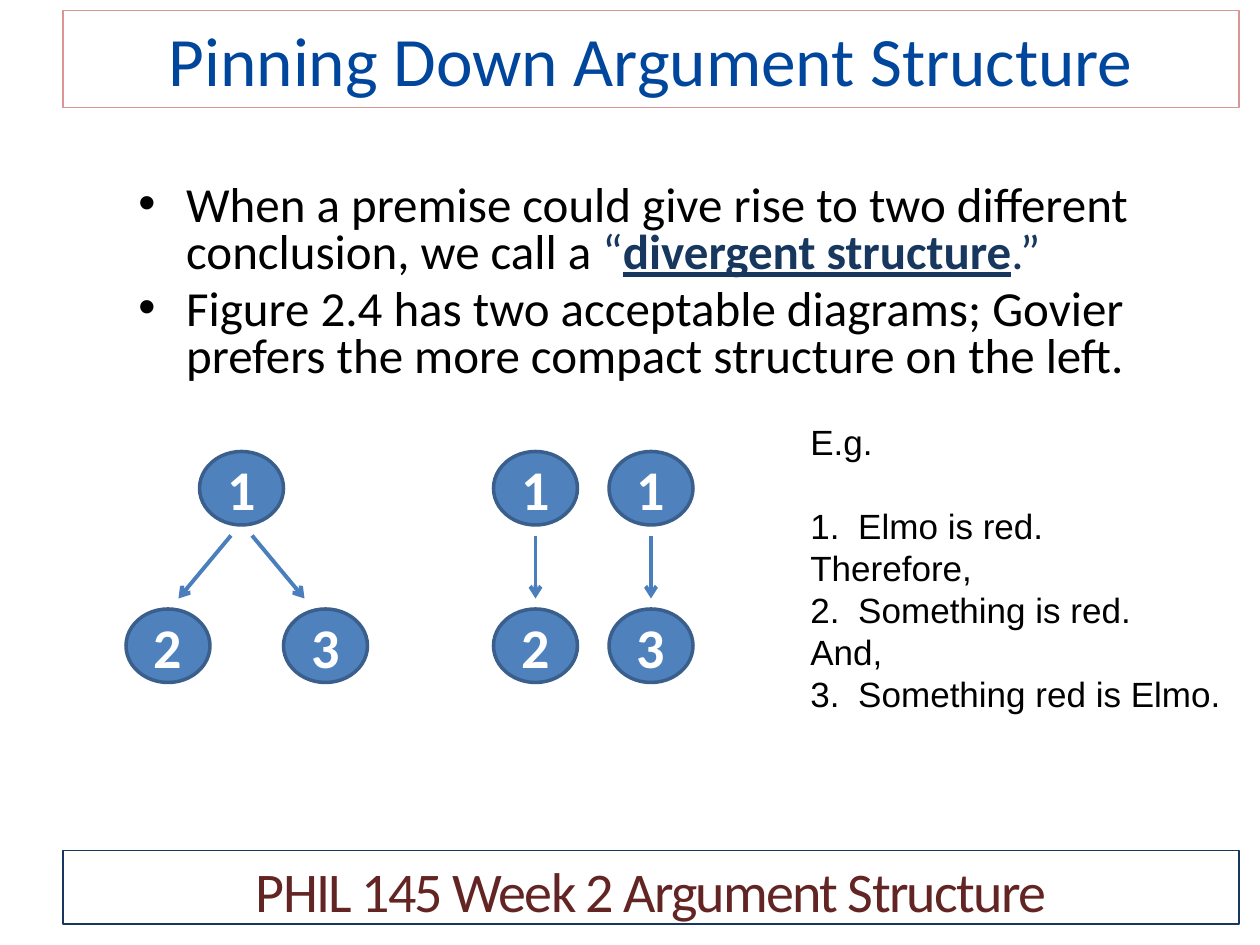
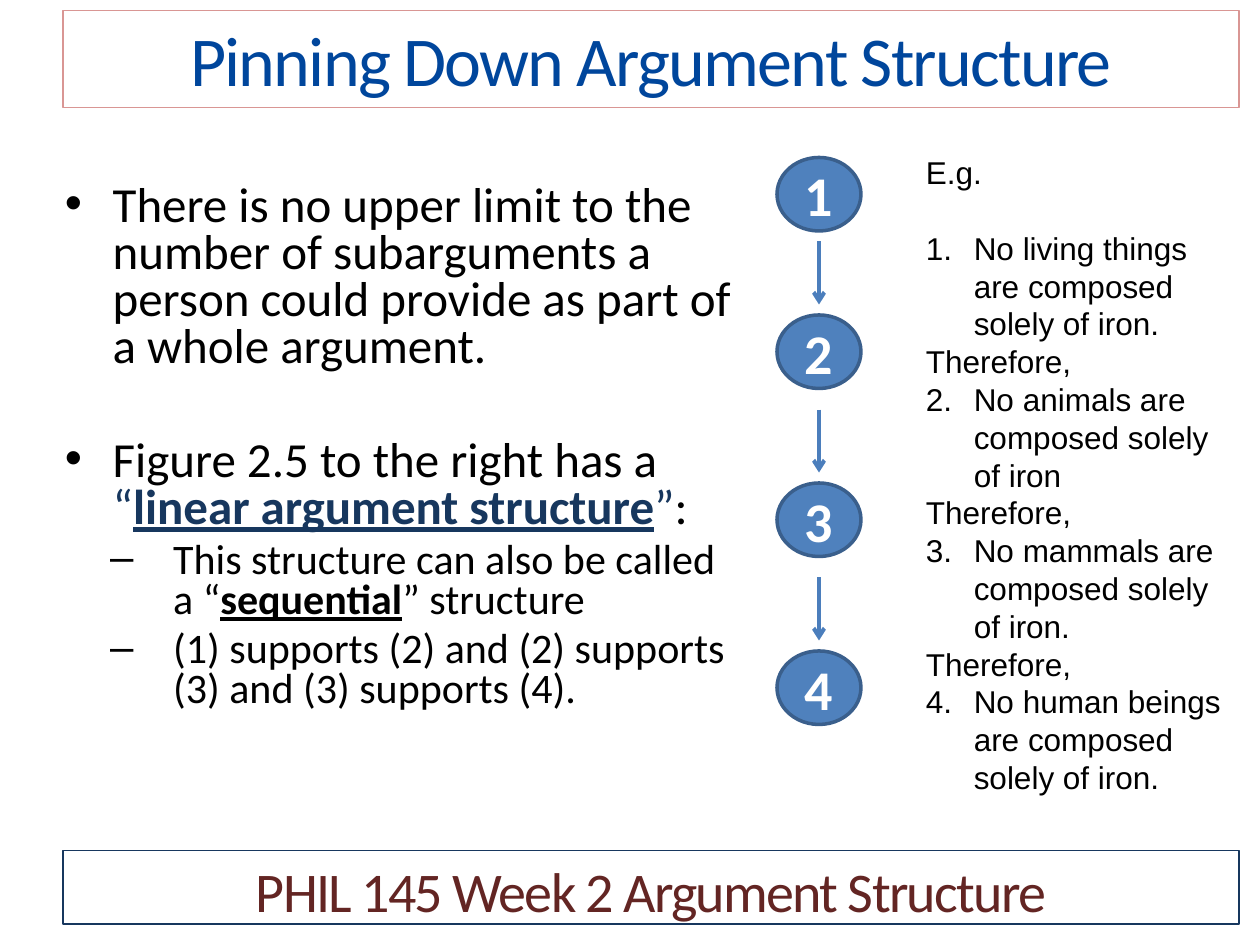
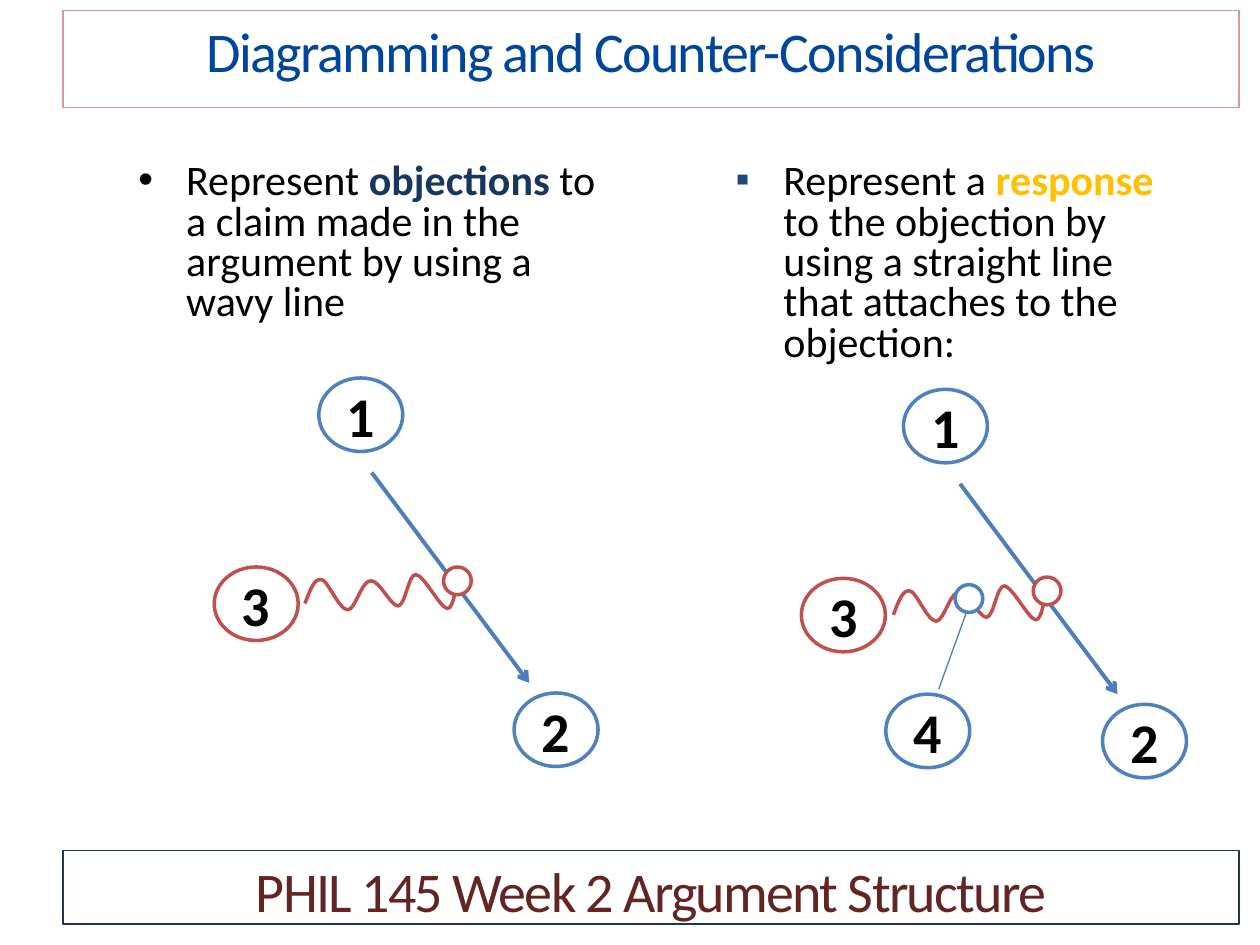
from pptx import Presentation
from pptx import util as u
from pptx.dml.color import RGBColor
from pptx.enum import shapes, text
from pptx.oxml.ns import qn
from lxml import etree

Inches, Pt = u.Inches, u.Pt
COLOURS = {
    "title": "00469C", "title_edge": "D99694",
    "footer": "632523", "navy": "17375E",
    "black": "000000", "white": "FFFFFF", "gold": "FFC000",
    "blue": "4F81BD", "blue_edge": "3A5F8C", "arrow": "4B7EBC",
    "red": "C0504D", "bullet": "1F497D",
}
RGB = {name: RGBColor.from_string(value) for name, value in COLOURS.items()}

BULLET = dict(size=28, left=0.38, hang=0.38, mark="•", lines=0.8, before=5.6)
SPACED = dict(BULLET, before=38.2)
SHORT = dict(BULLET, size=24, before=4.8)
SQUARE = dict(SHORT, left=0.45, mark="▪", tint="bullet")
DASH = dict(SHORT, left=0.86, hang=0.5, mark="–")
PLAIN = dict(face="Arial")
ITEM = dict(PLAIN, left=0.38, hang=0.38)
GRID = 1 / 12
NODE_W, NODE_H, KNOT = 8 * GRID, 7 * GRID, 0.22


def add_text(slide, box, paragraphs):
    frame = slide.shapes.add_textbox(*map(Inches, box)).text_frame
    frame.word_wrap = True
    for i, (style, runs) in enumerate(paragraphs):
        line = frame.paragraphs[0] if i == 0 else frame.add_paragraph()
        line.line_spacing = style.get("lines", 1.0)
        line.space_before = Pt(style.get("before", 0))
        line.space_after = Pt(style.get("after", 0))
        props = line._p.get_or_add_pPr()
        if "left" in style:
            props.set("marL", str(Inches(style["left"])))
            props.set("indent", str(-Inches(style["hang"])))
        if "tint" in style:
            tint = etree.SubElement(props, qn("a:buClr"))
            etree.SubElement(tint, qn("a:srgbClr"), val=COLOURS[style["tint"]])
            etree.SubElement(props, qn("a:buSzPct"), val="95000")
        if "mark" in style:
            etree.SubElement(props, qn("a:buFont"), typeface="Arial")
            etree.SubElement(props, qn("a:buChar"), char=style["mark"])
        if "number" in style:
            etree.SubElement(props, qn("a:buFont"), typeface="+mj-lt")
            etree.SubElement(props, qn("a:buAutoNum"), type="arabicPeriod",
                             startAt=str(style["number"]))
        line.font.name = style.get("face", "Calibri")
        line.font.size = Pt(style["size"])
        for words, colour, strong, underlined in runs:
            run = line.add_run()
            run.text = words
            run.font.color.rgb = RGB[colour]
            if strong:
                run.font.bold = True
            if underlined:
                run.font.underline = True


def add_box(slide, kind, box, fill, edge, weight, label="", size=32,
            ink="black", bold=False, anchor="MIDDLE", tracking=0):
    shape = slide.shapes.add_shape(kind, *map(Inches, box))
    shape.shadow.inherit = False
    if fill:
        shape.fill.solid()
        shape.fill.fore_color.rgb = RGB[fill]
    else:
        shape.fill.background()
    shape.line.color.rgb = RGB[edge]
    shape.line.width = Pt(weight)
    if label:
        frame = shape.text_frame
        frame.vertical_anchor = text.MSO_ANCHOR[anchor]
        line = frame.paragraphs[0]
        line.text = label
        line.alignment = text.PP_ALIGN.CENTER
        line.font.name = "Calibri"
        line.font.size = Pt(size)
        line.font.bold = bold
        line.font.color.rgb = RGB[ink]
        if tracking:
            line.runs[0]._r.get_or_add_rPr().set("spc", str(tracking * 100))


divergent = [
    (BULLET, [("When a premise could give rise to two different conclusion, we call a ", "black", 0, 0),
              ("“", "navy", 0, 0), ("divergent structure", "navy", 1, 1), (".”", "navy", 0, 0)]),
    (BULLET, [("Figure 2.4 has two acceptable diagrams; Govier prefers the more compact "
               "structure on the left.", "black", 0, 0)]),
]
linear = [
    (BULLET, [("There is no upper limit to the number of subarguments a person could provide "
               "as part of a whole argument.", "black", 0, 0)]),
    (SPACED, [("Figure 2.5 to the right has a ", "black", 0, 0), ("“", "navy", 0, 0),
              ("linear argument structure", "navy", 1, 1), ("”", "navy", 0, 0), (":", "black", 0, 0)]),
    (DASH, [("This structure can also be called a “", "black", 0, 0),
            ("sequential", "black", 1, 1), ("” structure", "black", 0, 0)]),
    (DASH, [("(1) supports (2) and (2) supports (3) and (3) supports (4).", "black", 0, 0)]),
]
objection = [
    (SHORT, [("Represent ", "black", 0, 0), ("objections ", "navy", 1, 0),
             ("to a claim made in the argument by using a wavy line", "black", 0, 0)]),
]
response = [
    (SQUARE, [("Represent a ", "black", 0, 0), ("response", "gold", 1, 0),
              (" to the objection by using a straight line that attaches to the objection:",
               "black", 0, 0)]),
]

examples = []
for size, claims, links in [
    (20, ["Elmo is red.", "Something is red.", "Something red is Elmo."], ["Therefore,", "And,"]),
    (18, ["No living things are composed solely of iron.", "No animals are composed solely of iron",
          "No mammals are composed solely of iron.", "No human beings are composed solely of iron."],
     ["Therefore,"] * 3),
]:
    example = [(dict(PLAIN, size=size, after=size * 1.2), [("E.g.", "black", 0, 0)])]
    for number, claim in enumerate(claims, 1):
        example.append((dict(ITEM, size=size, number=number), [(claim, "black", 0, 0)]))
        if number <= len(links):
            example.append((dict(PLAIN, size=size), [(links[number - 1], "black", 0, 0)]))
    examples.append(example)

upper, lower, arrow_top, arrow_end = (n * GRID for n in (43, 58, 51, 57))
fork_nodes = [("1", 19 * GRID, upper), ("2", 1, lower), ("3", 2.25, lower)]
fork_arrows = [(22 * GRID, arrow_top, 17 * GRID, arrow_end),
               (2, arrow_top, 29 * GRID, arrow_end)]
for conclusion, x in [("2", 47 * GRID), ("3", 58 * GRID)]:
    fork_nodes += [("1", x, upper), (conclusion, x, lower)]
    fork_arrows.append((x + NODE_W / 2, arrow_top, x + NODE_W / 2, arrow_end))

chain_nodes = [(str(i), 74 * GRID, n * GRID) for i, n in enumerate([15, 30, 46, 62], 1)]
chain_arrows = [(6.5, n * GRID, 6.5, n * GRID + 0.5) for n in (23, 39, 55)]

solid = ("blue", "blue_edge", "white")
counter_nodes, counter_arrows, waves, knots = [], [], [], []
for dx, dy, first_x, third_x, knot in [(0, 0, 2.53, 1.7, (3.52, 4.5)),
                                       (4.67, 0.09, 7.17, 6.36, (8.2, 4.58))]:
    counter_nodes += [("1", first_x, 3 + dy, "white", "blue", "black"),
                      ("2", 4.08 + dx, 5.5 + dy, "white", "blue", "black"),
                      ("3", third_x, 4.5 + dy, "white", "red", "black")]
    counter_arrows.append((2.95 + dx, 3.75 + dy, 4.2 + dx, 5.42 + dy))
    waves.append((dx, dy))
    knots.append((*knot, "red"))
counter_nodes.append(("4", 7.03, 5.51, "white", "blue", "black"))
knots.append((7.58, 4.64, "blue"))

pages = [
    dict(title=("Pinning Down Argument Structure", 39.6, "MIDDLE", 0),
         texts=[((1, 17 * GRID, 8.5, 5), divergent),
                ((76 * GRID, 3.29, 3.5, 2.46), examples[0])],
         nodes=[node + solid for node in fork_nodes], arrows=fork_arrows),
    dict(title=("Pinning Down Argument Structure", 40, "TOP", -1),
         texts=[((5 * GRID, 17 * GRID, 5.5, 5), linear),
                ((7.25, 14 * GRID, 2.58, 5.25), examples[1])],
         nodes=[node + solid for node in chain_nodes], arrows=chain_arrows),
    dict(title=("Diagramming and Counter-Considerations", 32, "TOP", -1),
         texts=[((1, 1.25, 3.83, 1.83), objection), ((5.67, 1.25, 3.83, 1.83), response)],
         nodes=counter_nodes, arrows=counter_arrows, waves=waves, knots=knots,
         plain=[(7.45, 5.47, 7.67, 4.86)]),
]
wave_points = [
    (2.42, 4.79),
    (2.46, 4.69), (2.49, 4.59), (2.55, 4.6), (2.6, 4.6), (2.69, 4.84), (2.76, 4.84),
    (2.82, 4.84), (2.87, 4.61), (2.94, 4.61), (3.01, 4.6), (3.1, 4.81), (3.16, 4.81),
    (3.22, 4.8), (3.24, 4.56), (3.3, 4.56), (3.37, 4.57), (3.49, 4.82), (3.55, 4.83),
    (3.6, 4.84), (3.63, 4.6), (3.63, 4.6),
]

deck = Presentation()
deck.slide_width, deck.slide_height = Inches(10), Inches(7.5)
RECT, OVAL = shapes.MSO_SHAPE.RECTANGLE, shapes.MSO_SHAPE.OVAL

for page in pages:
    slide = deck.slides.add_slide(deck.slide_layouts[6])
    heading, size, anchor, tracking = page["title"]
    add_box(slide, RECT, (0.5, GRID, 112 * GRID, 0.77), None, "title_edge", 0.75,
            heading, size, "title", anchor=anchor, tracking=tracking)
    add_box(slide, RECT, (0.5, 6.75, 112 * GRID, 7 * GRID), None, "navy", 0.75,
            "PHIL 145 Week 2 Argument Structure", 32, "footer", anchor="TOP", tracking=-1)
    for box, paragraphs in page["texts"]:
        add_text(slide, box, paragraphs)

    strokes = [(ends, 2.25) for ends in page["arrows"]]
    strokes += [(ends, 0.75) for ends in page.get("plain", [])]
    for ends, weight in strokes:
        link = slide.shapes.add_connector(shapes.MSO_CONNECTOR.STRAIGHT, *map(Inches, ends))
        link.line.color.rgb = RGB["arrow"]
        link.line.width = Pt(weight)
        if weight > 1:
            etree.SubElement(link.line._get_or_add_ln(), qn("a:tailEnd"), type="arrow")
        etree.SubElement(link._element.spPr, qn("a:effectLst"))

    for dx, dy in page.get("waves", []):
        points = [(Inches(x + dx), Inches(y + dy)) for x, y in wave_points]
        outline = slide.shapes.build_freeform(*points[0])
        outline.add_line_segments(points[1:], close=False)
        wave = outline.convert_to_shape()
        wave.shadow.inherit = False
        wave.fill.background()
        wave.line.color.rgb = RGB["red"]
        wave.line.width = Pt(2)
        segments = list(wave._element.iter(qn("a:lnTo")))
        track = segments[0].getparent()
        for start in range(0, len(segments), 3):
            curve = etree.SubElement(track, qn("a:cubicBezTo"))
            for segment in segments[start:start + 3]:
                curve.append(segment[0])
                track.remove(segment)

    for label, x, y, fill, edge, ink in page["nodes"]:
        add_box(slide, OVAL, (x, y, NODE_W, NODE_H), fill, edge, 2, label, 32, ink, True)
    for x, y, edge in page.get("knots", []):
        add_box(slide, OVAL, (x, y, KNOT, KNOT), "white", edge, 2)

deck.save("out.pptx")
